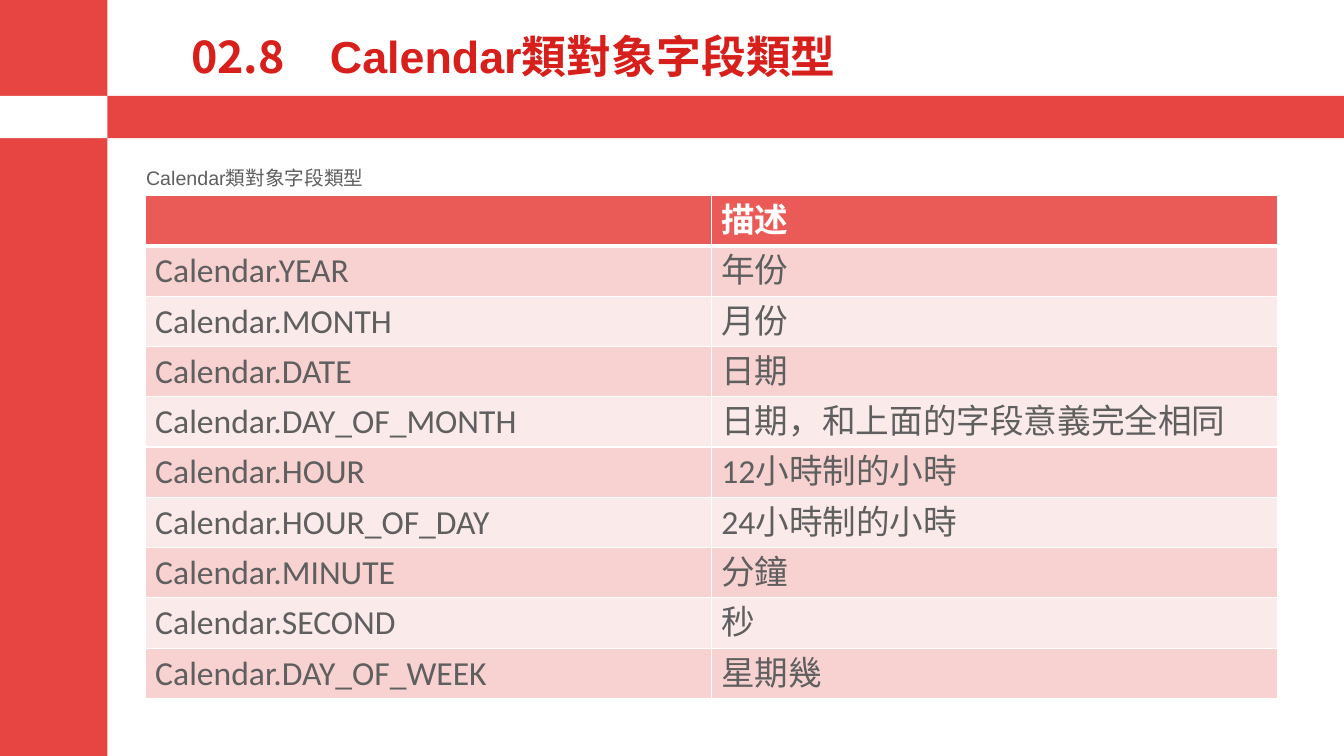
"""Build a slide listing the field types of the Calendar class."""
from lxml import etree
from pptx import Presentation
from pptx.dml.color import RGBColor
from pptx.enum.shapes import MSO_SHAPE
from pptx.enum.text import MSO_ANCHOR, PP_ALIGN
from pptx.oxml.ns import qn
from pptx.util import Inches, Pt

RECT = MSO_SHAPE.RECTANGLE
TOP, BOTTOM = MSO_ANCHOR.TOP, MSO_ANCHOR.BOTTOM
LEFT = PP_ALIGN.LEFT

COLORS = {
    "band": "E74541",
    "white": "FFFFFF",
    "title": "D71F1B",
    "text": "5F5F5F",
    "header": "EA5B58",
    "odd": "F7D2D1",
    "even": "FBEAEA",
}
FIELDS = [
    ("", "描述"),
    ("Calendar.YEAR", "年份"),
    ("Calendar.MONTH", "月份"),
    ("Calendar.DATE", "日期"),
    ("Calendar.DAY_OF_MONTH", "日期，和上面的字段意義完全相同"),
    ("Calendar.HOUR", "12小時制的小時"),
    ("Calendar.HOUR_OF_DAY", "24小時制的小時"),
    ("Calendar.MINUTE", "分鐘"),
    ("Calendar.SECOND", "秒"),
    ("Calendar.DAY_OF_WEEK", "星期幾"),
]


class SlideBuilder:
    """Draw styled elements on one slide, placed in percent of its size."""

    def __init__(self, prs):
        self.width, self.height = prs.slide_width, prs.slide_height
        self.slide = prs.slides.add_slide(prs.slide_layouts[5])

    def box(self, x, y, w, h):
        """Turn percentages into left, top, width and height."""
        sizes = (self.width, self.height) * 2
        return [round(size * share / 100) for size, share in zip(sizes, (x, y, w, h))]

    def run(self, p, text, size, font, color, bold=False):
        """Add one formatted run to a paragraph."""
        r = p.add_run()
        r.text = text
        r.font.size, r.font.name, r.font.bold = Pt(size), font, bold
        r.font.color.rgb = RGBColor.from_string(COLORS[color])
        ea = etree.SubElement(r.font._element, qn("a:ea"))
        ea.set("typeface", font)

    def band(self, box, color):
        """Add a plain coloured rectangle."""
        sp = self.slide.shapes.add_shape(RECT, *self.box(*box))
        sp.shadow.inherit = False
        sp.fill.solid()
        sp.fill.fore_color.rgb = RGBColor.from_string(COLORS[color])
        sp.line.fill.background()

    def text(self, sp, box, runs, spacing, anchor):
        """Place a text shape and fill its paragraph run by run."""
        sp.left, sp.top, sp.width, sp.height = self.box(*box)
        tf = sp.text_frame
        tf.word_wrap, tf.vertical_anchor = True, anchor
        p = tf.paragraphs[0]
        p.alignment, p.line_spacing = LEFT, spacing
        for run in runs:
            self.run(p, *run)

    def title(self, box, runs):
        """Fill the title placeholder."""
        self.text(self.slide.shapes.title, box, runs, 0.9, BOTTOM)

    def caption(self, box, runs):
        """Add a text box."""
        sp = self.slide.shapes.add_textbox(*self.box(*box))
        self.text(sp, box, runs, 1.3, TOP)

    def border(self, cell, side, width):
        """Draw one white cell border."""
        ln = etree.SubElement(cell._tc.get_or_add_tcPr(), qn(f"a:ln{side}"))
        ln.set("w", str(Pt(width)))
        fill = etree.SubElement(ln, qn("a:solidFill"))
        etree.SubElement(fill, qn("a:srgbClr")).set("val", COLORS["white"])

    def table(self, box, rows):
        """Add a table with a header row and alternating fills."""
        shape = self.slide.shapes.add_table(len(rows), len(rows[0]), *self.box(*box))
        for i, row in enumerate(rows):
            fill = "header" if i == 0 else "odd" if i % 2 else "even"
            for j, text in enumerate(row):
                cell = shape.table.cell(i, j)
                cell.margin_bottom = Inches(0.04)
                for side in "LRTB":
                    thick = (i, side) in ((0, "B"), (1, "T"))
                    self.border(cell, side, 3 if thick else 1)
                cell.fill.solid()
                cell.fill.fore_color.rgb = RGBColor.from_string(COLORS[fill])
                if text:
                    color = "text" if i else "white"
                    p = cell.text_frame.paragraphs[0]
                    self.run(p, text, 24, "Calibri", color, i == 0)


def main():
    """Build and save the slide."""
    prs = Presentation()
    prs.slide_width, prs.slide_height = Inches(13.33), Inches(7.5)
    s = SlideBuilder(prs)
    s.band((0, 0, 8, 100), "band")
    s.band((0, 12.67, 100, 5.6), "band")
    s.band((0, 12.67, 8, 5.6), "white")
    s.title((10.13, 1.47, 86.35, 10.27), [
        ("\u3000".join(("", "02.8", "")), 32, "Noto Sans CJK SC", "title", True),
        ("Calendar類對象字段類型", 32, "Arial", "title", True),
    ])
    s.caption((10.13, 20.4, 87.77, 5.47), [
        ("Calendar類對象字段類型", 14, "Arial", "text"),
    ])
    s.table((10.8, 25.87, 84.25, 66.53), FIELDS)
    prs.save("out.pptx")


if __name__ == "__main__":
    main()
